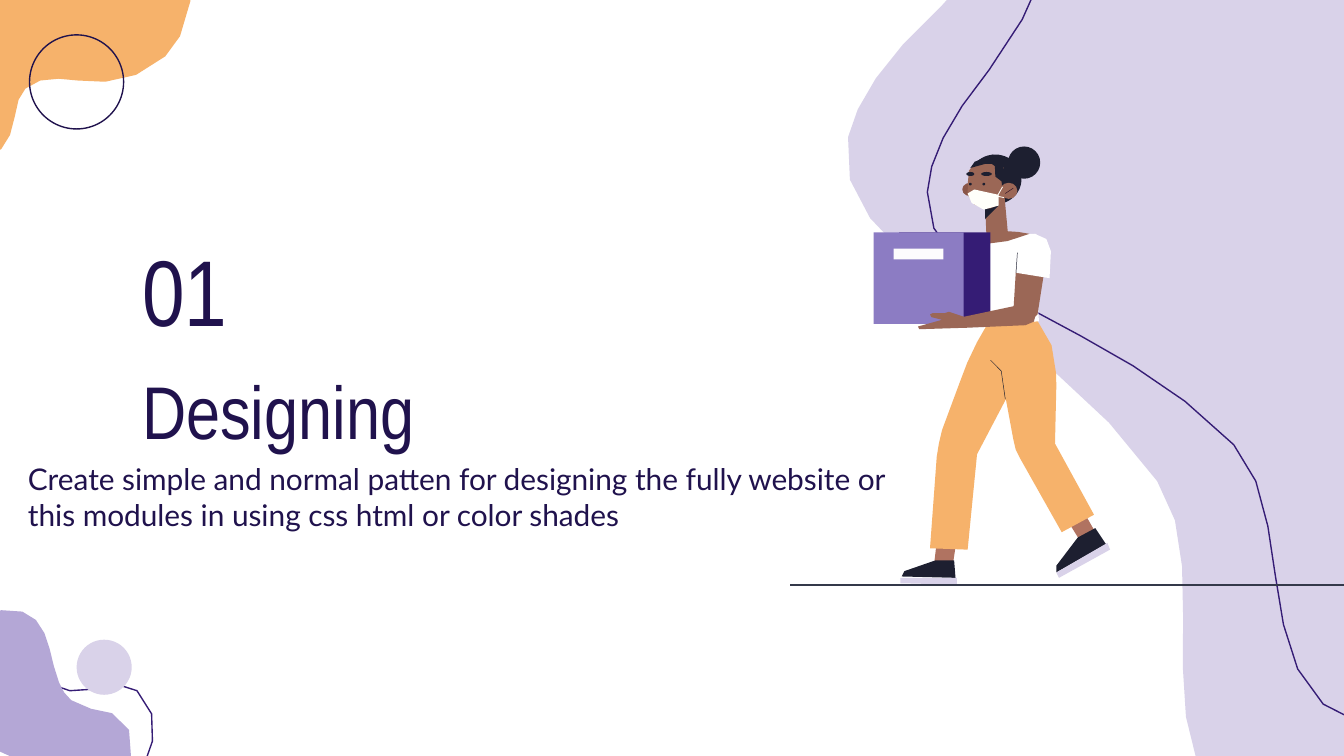
from math import dist, sqrt

from lxml.etree import SubElement
from pptx import Presentation
from pptx.dml.color import RGBColor
from pptx.enum.shapes import MSO_CONNECTOR, MSO_SHAPE
from pptx.enum.text import MSO_ANCHOR, PP_ALIGN
from pptx.oxml.ns import qn
from pptx.util import Inches, Pt

SLIDE_WIDTH = Inches(10)
COLUMNS = 1000
CELL = SLIDE_WIDTH // COLUMNS
CURVE_DETAIL = 0.4

COLOURS = {
    "paper": "FFFFFF", "lilac": "D9D2E9", "violet": "351C75", "orange": "F6B26B",
    "navy": "20124D", "lavender": "B4A7D6", "ankle": "B07361", "ink": "1D1F30",
    "skin": "9B6756", "nose": "895548", "crease": "311426", "mask": "FFFFFA",
    "carton": "8C7CC3", "label": "FDFCFD", "ground": "34394A",
}


def cells(*counts):
    """Turn grid counts into slide lengths."""
    return [round(count * CELL) for count in counts]


def colour(name):
    """Look up a named colour."""
    return RGBColor.from_string(COLOURS[name])


def trace(outline):
    """Expand comma-separated points and cubic curves into grid points."""
    points = []
    for step in outline.split(","):
        numbers = [int(number) for number in step.split()]
        pairs = list(zip(numbers[::2], numbers[1::2]))
        if len(pairs) == 1:
            points += pairs
            continue
        controls = [points[-1], *pairs]
        length = sum(dist(*ends) for ends in zip(controls, pairs))
        count = max(1, round(CURVE_DETAIL * sqrt(length)))
        for index in range(1, count + 1):
            t = index / count
            weights = ((1 - t) ** 3, 3 * t * (1 - t) ** 2, 3 * t * t * (1 - t), t ** 3)
            points.append(tuple(
                sum(weight * control[axis] for weight, control in zip(weights, controls))
                for axis in (0, 1)))
    return points


def paint(shape, fill=None, line=None, weight=0.75):
    """Give a shape its fill and line without a shadow."""
    shape.shadow.inherit = False
    if fill:
        shape.fill.solid()
        shape.fill.fore_color.rgb = colour(fill)
    else:
        shape.fill.background()
    if line:
        shape.line.color.rgb = colour(line)
        shape.line.width = Pt(weight)
    else:
        shape.line.fill.background()


def add_outline(slide, outline, close):
    """Build a freeform from an outline on the grid."""
    start, *rest = [cells(*point) for point in trace(outline)]
    builder = slide.shapes.build_freeform(*start, scale=1.0)
    builder.add_line_segments(rest, close=close)
    return builder.convert_to_shape()


def patch(slide, fill, outline):
    """Draw a filled outline."""
    paint(add_outline(slide, outline, True), fill=fill)


def loop(slide, line, outline):
    """Draw a closed, unfilled outline."""
    paint(add_outline(slide, outline, True), line=line)


def stroke(slide, line, outline, weight=0.25):
    """Draw an open line along an outline."""
    paint(add_outline(slide, outline, False), line=line, weight=weight)


def oval(slide, fill, frame):
    """Draw a filled ellipse."""
    paint(slide.shapes.add_shape(MSO_SHAPE.OVAL, *cells(*frame)), fill=fill)


def ring(slide, line, frame):
    """Draw an unfilled ellipse."""
    paint(slide.shapes.add_shape(MSO_SHAPE.OVAL, *cells(*frame)), line=line)


def panel(slide, fill, frame):
    """Draw a filled rectangle."""
    paint(slide.shapes.add_shape(MSO_SHAPE.RECTANGLE, *cells(*frame)), fill=fill)


def straight(slide, line, ends, weight):
    """Draw a straight connector."""
    connector = slide.shapes.add_connector(MSO_CONNECTOR.STRAIGHT, *cells(*ends))
    connector.line.color.rgb = colour(line)
    connector.line.width = Pt(weight)
    SubElement(connector._element.spPr, qn("a:effectLst"))


def write(slide, frame, text, size, font, anchor=MSO_ANCHOR.MIDDLE):
    """Place a wrapped, left-aligned text."""
    box = slide.shapes.add_textbox(*cells(*frame))
    body = box.text_frame
    body.word_wrap = True
    body.vertical_anchor = anchor
    body.margin_left = body.margin_right = body.margin_top = body.margin_bottom = Inches(0.1)
    body.text = text
    for para in body.paragraphs:
        para.alignment = PP_ALIGN.LEFT
        for span in para.runs:
            span.font.size = Pt(size)
            span.font.name = font
            span.font.color.rgb = colour("navy")


BACKDROP = [
    (patch, "lilac", "631 102, 614 192 773 232 861 358, 910 427 837 573 939 615, 1116 505, 1110 260, 1150 126, 1121 -22, 884 -186, 778 -194 795 -82 700 5, 657 44 637 76 631 102"),
    (loop, "violet", "690 143, 686 222 826 235 918 331, 968 384 925 517 1016 540, 1152 423, 1117 216, 1134 97, 1090 -25, 868 -134, 777 -128 806 -35 736 52, 705 90 691 119 690 143"),
    (patch, "orange", "123 42, 127 37 130 32 134 27, 153 -8 134 -44 113 -60, 60 -74, -62 48, -52 110, -35 126 -13 124 1 111, 6 105 10 97 11 87, 12 77 15 70 19 66, 28 57 44 58 58 60, 76 63 103 61 123 42"),
    (ring, "navy", (22, 26, 70, 70)),
    (loop, "violet", "-8 577, -30 477, -13 466 -1 469 9 477, 18 485 26 498 37 506, 41 510 46 513 52 514, 70 519 83 499 102 514, 119 528 116 554 107 570"),
    (patch, "lavender", "-25 548, -42 507 -38 457 1 454, 20 452 28 460 33 471, 38 482 39 496 44 508, 46 513 49 518 53 521, 66 533 86 522 96 543, 104 562 90 584 75 593"),
    (oval, "lilac", (57, 476, 41, 41)),
]

LEGS = [
    (patch, "ankle", "699 386, 695 420, 709 420, 714 387"),
    (patch, "ink", "696 417, 673 425, 671 429, 711 430, 710 417"),
    (patch, "lilac", "670 430, 670 434, 712 435, 712 430"),
    (patch, "orange", "736 239, 726 255 719 270 714 285, 701 320, 699 327 698 333 697 340, 692 408, 720 409, 727 338, 759 277, 757 241"),
    (patch, "ankle", "799 368, 786 374, 804 403, 815 396"),
    (patch, "ink", "815 393, 802 400, 786 421, 786 426, 823 405"),
    (patch, "lilac", "824 404, 786 426, 788 430, 826 409"),
    (patch, "orange", "771 237, 747 240, 744 273, 754 327, 755 332 756 337 759 341, 790 396, 814 383, 785 330, 786 288, 786 288 788 252 771 237"),
    (stroke, "ink", "748 297, 745 276, 737 268"),
]

HEAD = [
    (oval, "ink", (721, 115, 39, 37)),
    (oval, "nose", (716, 136, 12, 10)),
    (patch, "skin", "747 141, 733 152, 734 175, 750 174"),
    (patch, "ink", "743 153, 733 153, 733 163"),
    (patch, "skin", "735 119, 731 119 727 120 724 123, 721 127, 721 132 719 140 720 145, 722 151 727 155 733 155, 737 155, 737 155 747 154 749 141, 752 126 744 119 735 119"),
    (oval, "ink", (721, 136, 2, 2)),
    (oval, "ink", (731, 136, 2, 2)),
    (oval, "ink", (730, 128, 8, 3)),
    (oval, "ink", (719, 128, 6, 3)),
    (patch, "ink", "740 119, 732 128 747 137 748 137, 751 137, 751 121 740 119 740 119"),
    (patch, "ink", "739 115, 725 116 722 125 722 125, 725 122 729 122 733 122, 738 122, 745 127"),
    (patch, "ink", "745 132, 746 143, 749 133"),
    (oval, "skin", (744, 136, 13, 12)),
    (stroke, "crease", "754 140, 751 139 748 141 748 144"),
    (oval, "ink", (750, 109, 24, 24)),
    (patch, "mask", "725 141, 720 144, 720 146 721 149 723 151, 725 154 729 156 732 156, 737 156 740 155 743 153, 743 145"),
    (stroke, "mask", "746 139, 742 146, 747 147", 0.44),
]

TORSO_AND_BOX = [
    (patch, "paper", "766 174, 721 178, 714 180, 720 188, 719 196 720 206 725 215, 735 229 735 241 735 241, 748 242, 773 239, 773 239 771 220 773 204, 771 185, 771 174"),
    (patch, "skin", "749 172, 738 173, 721 178, 721 178 726 181 737 181, 744 181 754 179 766 174, 761 173 755 172 749 172"),
    (panel, "violet", (669, 173, 68, 68)),
    (panel, "carton", (650, 173, 67, 68)),
    (panel, "label", (665, 185, 37, 8)),
    (patch, "skin", "763 226, 716 236, 717 244, 763 242, 768 242 772 238 771 233, 771 229 767 226 763 226"),
    (patch, "skin", "706 232, 703 233, 694 233, 692 234, 693 236, 701 238, 683 243, 684 245, 717 244, 721 242, 718 236, 715 235, 712 233 709 232 706 232"),
    (patch, "skin", "756 200, 754 232, 754 237 758 241 763 242, 767 242 771 238 772 234, 777 202"),
    (patch, "paper", "770 174, 763 174 757 179 757 185, 756 203, 781 207, 782 187, 782 180 777 174 770 174"),
    (straight, "ink", (756, 203, 757, 188), 0.25),
    (straight, "ground", (1033, 435, 588, 435), 0.98),
]

TEXTS = [
    ((96, 259, 553, 92), "Designing", 40, "Arial Narrow"),
    ((96, 170, 125, 97), "01", 50, "Arial Narrow", MSO_ANCHOR.BOTTOM),
    ((11, 349, 683, 41), "Create simple and normal patten for designing the fully website or this modules in using css html or color shades", 16, "Lato"),
]


def main():
    """Build and save the section slide."""
    deck = Presentation()
    deck.slide_width = SLIDE_WIDTH
    deck.slide_height = SLIDE_WIDTH * 9 // 16
    page = deck.slides.add_slide(deck.slide_layouts[6])
    page.background.fill.solid()
    page.background.fill.fore_color.rgb = colour("paper")
    for draw, *details in BACKDROP:
        draw(page, *details)
    for text in TEXTS:
        write(page, *text)
    for draw, *details in LEGS + HEAD + TORSO_AND_BOX:
        draw(page, *details)
    deck.save("out.pptx")


if __name__ == "__main__":
    main()
